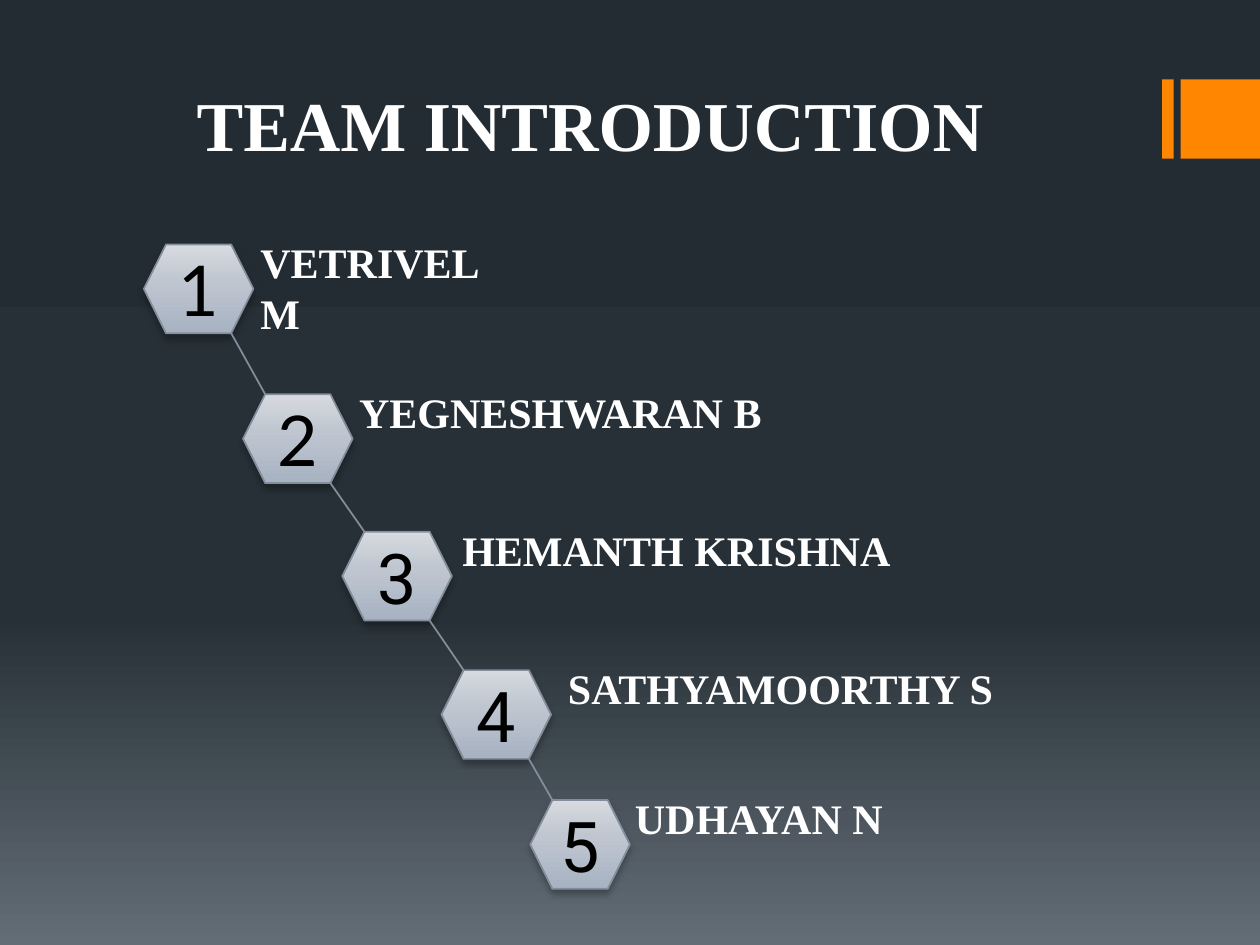
from itertools import pairwise

from lxml import etree
from pptx import Presentation
from pptx import util as u
from pptx.dml.color import RGBColor
from pptx.enum import shapes, text
from pptx.oxml.ns import qn


def rgb(value):
    return RGBColor.from_string(value)


class Deck:
    """Hold the style and the current slide, and draw its elements."""

    serif = "Times New Roman"
    white, black, accent, edge = "FFFFFF", "000000", "FF8600", "838D9B"
    backdrop = [(0, "242C33"), (65, "273037"), (100, "636D76")]
    steel = [(0, "D7DBE0"), (41, "BFC6D0"), (100, "A7B2C2")]

    def __init__(self):
        self.prs = Presentation()
        self.prs.slide_width, self.prs.slide_height = u.Cm(25.4), u.Cm(19.05)
        self.s = self.prs.slides.add_slide(self.prs.slide_layouts[5])
        self.gradient(self.s.background.fill, self.s.element, self.backdrop)

    def gradient(self, fill, element, stops):
        fill.gradient()
        fill.gradient_angle = 270
        gs_lst = element.find(".//" + qn("a:gsLst"))
        for gs in list(gs_lst):
            gs_lst.remove(gs)
        for pos, color in stops:
            gs = etree.SubElement(gs_lst, qn("a:gs"), pos=str(pos * 1000))
            etree.SubElement(gs, qn("a:srgbClr"), val=color)

    def set_text(self, sp, words, size, font, color, bold=False, wrap=True,
                 align=text.PP_ALIGN.LEFT, anchor=text.MSO_ANCHOR.TOP):
        tf = sp.text_frame
        tf.text = words
        tf.word_wrap = wrap
        tf.vertical_anchor = anchor
        p = tf.paragraphs[0]
        p.alignment = align
        r = p.runs[0]
        r.font.size, r.font.name, r.font.bold = u.Pt(size), font, bold
        r.font.color.rgb = rgb(color)

    def title(self, words, x, y, w, h):
        sp = self.s.shapes.title
        sp.left, sp.top, sp.width, sp.height = map(u.Cm, (x, y, w, h))
        self.set_text(sp, words, 40, self.serif, self.white, True, wrap=False)
        sp.text_frame.auto_size = text.MSO_AUTO_SIZE.SHAPE_TO_FIT_TEXT

    def bar(self, x, y, w, h):
        sp = self.s.shapes.add_shape(shapes.MSO_SHAPE.RECTANGLE, *map(u.Cm, (x, y, w, h)))
        sp.shadow.inherit = False
        sp.fill.solid()
        sp.fill.fore_color.rgb = rgb(self.accent)
        sp.line.fill.background()

    def hexagon(self, words, font, x, y, w, h):
        sp = self.s.shapes.add_shape(shapes.MSO_SHAPE.HEXAGON, *map(u.Cm, (x, y, w, h)))
        self.gradient(sp.fill, sp.element, self.steel)
        sp.line.color.rgb = rgb(self.edge)
        sp.line.width = u.Pt(1)
        sp.shadow.inherit = False
        effects = sp.element.spPr.find(qn("a:effectLst"))
        shadow = etree.SubElement(effects, qn("a:outerShdw"), blurRad=str(u.Pt(4)),
                                  dist=str(u.Pt(3)), dir="5400000", rotWithShape="0")
        color = etree.SubElement(shadow, qn("a:srgbClr"), val=self.black)
        etree.SubElement(color, qn("a:alpha"), val="28000")
        self.set_text(sp, words, 40, font, self.black,
                      align=text.PP_ALIGN.CENTER, anchor=text.MSO_ANCHOR.MIDDLE)

    def label(self, words, x, y, w, h):
        sp = self.s.shapes.add_textbox(*map(u.Cm, (x, y, w, h)))
        self.set_text(sp, words, 24, self.serif, self.white, True, wrap=False)
        sp.text_frame.auto_size = text.MSO_AUTO_SIZE.SHAPE_TO_FIT_TEXT

    def link(self, x1, y1, x2, y2):
        line = self.s.shapes.add_connector(shapes.MSO_CONNECTOR.STRAIGHT,
                                           *map(u.Cm, (x1, y1, x2, y2)))
        line.line.color.rgb = rgb(self.edge)
        line.line.width = u.Pt(1)
        etree.SubElement(line.element.spPr, qn("a:effectLst"))


HEX_H = 1.79
CORNER = HEX_H / 4
MEMBERS = [
    ("VETRIVEL M", "Lato", 2.9, 4.93, 2.21, 5.0, 5.76),
    ("YEGNESHWARAN B", "Lato", 4.9, 7.95, 2.21, 6.99, 8.71),
    ("HEMANTH KRISHNA", "Roboto", 6.9, 10.72, 2.21, 9.07, 9.22),
    ("SATHYAMOORTHY S", "Roboto", 8.9, 13.51, 2.21, 11.2, 9.1),
    ("UDHAYAN N", "Roboto", 10.69, 16.13, 2.01, 12.55, 5.56),
]

deck = Deck()
for bar_x, bar_w in ((23.43, 0.23), (23.8, 1.6)):
    deck.bar(bar_x, 1.6, bar_w, 1.6)
deck.title("TEAM INTRODUCTION", 3.71, 1.52, 16.54, 1.96)
for number, (name, font, x, y, w, name_x, name_w) in enumerate(MEMBERS, 1):
    deck.hexagon(str(number), font, x, y, w, HEX_H)
    deck.label(name, name_x, y - 0.28, name_w, 1.28)
for (_, _, x1, y1, w1, *_), (_, _, x2, y2, *_) in pairwise(MEMBERS):
    deck.link(x1 + w1 - CORNER, y1 + HEX_H, x2 + CORNER, y2)
deck.prs.save("out.pptx")
